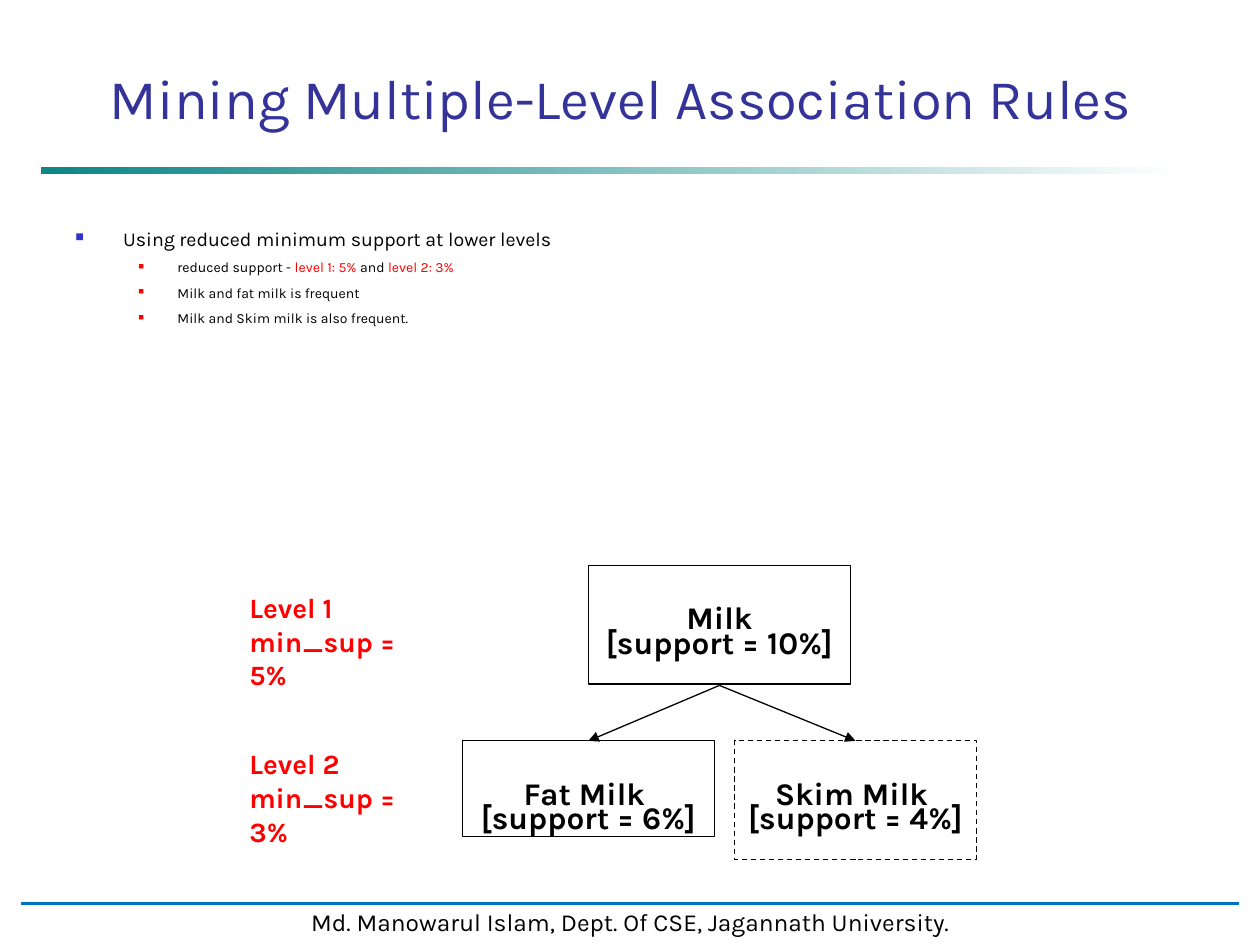
from lxml import etree
from pptx import Presentation
from pptx.dml.color import RGBColor
from pptx.enum.dml import MSO_LINE
from pptx.enum.shapes import MSO_CONNECTOR, MSO_SHAPE
from pptx.enum.text import MSO_ANCHOR, MSO_AUTO_SIZE, PP_ALIGN
from pptx.oxml.ns import qn
from pptx.util import Inches, Pt

RECTANGLE = MSO_SHAPE.RECTANGLE
STRAIGHT = MSO_CONNECTOR.STRAIGHT
DASH = MSO_LINE.DASH
TOP, MIDDLE, BOTTOM = MSO_ANCHOR.TOP, MSO_ANCHOR.MIDDLE, MSO_ANCHOR.BOTTOM
LEFT, CENTER = PP_ALIGN.LEFT, PP_ALIGN.CENTER
NO_FIT = MSO_AUTO_SIZE.NONE

BLACK, WHITE, RED = "000000", "FFFFFF", "FF0000"
TEAL, INDIGO, BULLET_BLUE, RULE_BLUE = "008080", "333399", "3333CC", "0070C0"


def color(value):
    return RGBColor.from_string(value)


def add_element(parent, tag, **attributes):
    return etree.SubElement(parent, qn(tag), attributes)


class SlideBuilder:
    font = "Karla"

    def __init__(self, slide):
        self.slide = slide

    def set_alpha(self, shape, percent):
        first_color = next(shape.element.spPr.iter(qn("a:srgbClr")))
        add_element(first_color, "a:alpha", val=str(percent * 1000))

    def add_spans(self, para, spans, size, bold=False):
        for text, span_color in spans:
            span = para.add_run()
            span.text = text
            span.font.name = self.font
            span.font.size = Pt(size)
            span.font.bold = bold
            span.font.color.rgb = color(span_color)

    def frame(self, shape, anchor=TOP, wrap=True):
        frame = shape.text_frame
        frame.auto_size = NO_FIT
        frame.word_wrap = wrap
        frame.vertical_anchor = anchor
        return frame

    def lines(self, frame, texts, size, text_color, align=LEFT, bold=False):
        for index, text in enumerate(texts):
            para = frame.paragraphs[0] if index == 0 else frame.add_paragraph()
            para.alignment = align
            self.add_spans(para, [(text, text_color)], size, bold)

    def place(self, shape, left, top, width, height):
        shape.left, shape.top = Inches(left), Inches(top)
        shape.width, shape.height = Inches(width), Inches(height)

    def title(self, text, *bounds):
        title = self.slide.shapes.title
        self.place(title, *bounds)
        self.lines(self.frame(title, BOTTOM), [text], 32, INDIGO, CENTER)

    def rectangle(self, *bounds, line=None, width=0.75):
        box = self.slide.shapes.add_shape(RECTANGLE, *map(Inches, bounds))
        box.shadow.inherit = False
        box.fill.solid()
        box.fill.fore_color.rgb = color(WHITE)
        if line:
            box.line.color.rgb = color(line)
            box.line.width = Pt(width)
        else:
            box.line.fill.background()
        return box

    def gradient_bar(self, *bounds):
        bar = self.rectangle(*bounds)
        bar.fill.gradient()
        bar.fill.gradient_angle = 0
        for stop, value in zip(bar.fill.gradient_stops, (TEAL, WHITE)):
            stop.color.rgb = color(value)
        self.set_alpha(bar, 95)

    def footer(self, text, *bounds):
        box = self.rectangle(*bounds, line=WHITE, width=2)
        self.lines(self.frame(box, MIDDLE, wrap=False), [text], 14, BLACK, CENTER)

    def node(self, name, support, *bounds, dashed=False):
        box = self.rectangle(*bounds, line=BLACK)
        if dashed:
            box.line.dash_style = DASH
            self.set_alpha(box, 50)
        frame = self.frame(box)
        frame.margin_top = Inches(0.26)
        self.lines(frame, [name, f"[support = {support}]"], 18, BLACK, CENTER, bold=True)
        frame.paragraphs[1].line_spacing = 0.6

    def label(self, texts, *bounds):
        box = self.slide.shapes.add_textbox(*map(Inches, bounds))
        self.lines(self.frame(box), texts, 16, RED, bold=True)

    def bullets(self, items, *bounds):
        box = self.slide.shapes.add_textbox(*map(Inches, bounds))
        frame = self.frame(box)
        for index, (level, spans) in enumerate(items):
            para = frame.paragraphs[0] if index == 0 else frame.add_paragraph()
            para.level = level
            margin, hanging, size, bullet_color, bullet_size = (
                (0.81, 0.31, 8, RED, 55) if level else (0.38, 0.38, 11.2, BULLET_BLUE, 60))
            if index:
                para.space_before = Pt(5)
            properties = para._p.get_or_add_pPr()
            properties.set("marL", str(Inches(margin)))
            properties.set("indent", str(-Inches(hanging)))
            add_element(add_element(properties, "a:buClr"), "a:srgbClr", val=bullet_color)
            add_element(properties, "a:buSzPct", val=str(bullet_size * 1000))
            add_element(properties, "a:buChar", char="■")
            self.add_spans(para, spans, size)

    def line(self, start, end, line_color, width, arrow=False):
        line = self.slide.shapes.add_connector(STRAIGHT, *map(Inches, start + end))
        line.line.color.rgb = color(line_color)
        line.line.width = Pt(width)
        properties = line._element.spPr
        if arrow:
            add_element(properties.find(qn("a:ln")), "a:tailEnd", type="triangle")
        add_element(properties, "a:effectLst")


def main():
    deck = Presentation()
    deck.slide_width, deck.slide_height = Inches(10), Inches(7.5)
    page = SlideBuilder(deck.slides.add_slide(deck.slide_layouts[5]))

    # Title, rule and footer
    page.gradient_bar(0.33, 1.33, 9, 0.05)
    page.footer("Md. Manowarul Islam, Dept. Of CSE, Jagannath University.",
                0.17, 7.15, 9.67, 0.33)
    page.line((0.17, 7.17), (9.83, 7.17), RULE_BLUE, 1.75)
    page.title("Mining Multiple-Level Association Rules", 0.67, 0.42, 8.52, 0.67)

    # Explanation
    page.bullets([
        (0, [("Using reduced minimum support at lower levels", BLACK)]),
        (1, [("reduced support - ", BLACK), ("level 1: 5%", RED),
             (" and ", BLACK), ("level 2: 3%", RED)]),
        (1, [("Milk and fat milk is frequent", BLACK)]),
        (1, [("Milk and Skim milk is also frequent.", BLACK)]),
    ], 0.5, 1.75, 9, 0.92)

    # Item hierarchy
    page.node("Milk", "10%", 4.67, 4.49, 2.08, 0.94)
    page.node("Fat Milk ", "6%", 3.67, 5.88, 2, 0.76)
    page.node("Skim Milk ", "4%", 5.83, 5.88, 1.92, 0.94, dashed=True)

    # Support thresholds
    for level, support, top in ((1, "5%", 4.64), (2, "3%", 5.88)):
        page.label([f"Level {level}", f"min_sup = {support}"], 1.88, top, 1.68, 0.64)

    # Branches from parent to children
    for child_center in (4.67, 6.79):
        page.line((5.71, 5.44), (child_center, 5.88), BLACK, 0.75, arrow=True)

    deck.save("out.pptx")


if __name__ == "__main__":
    main()
